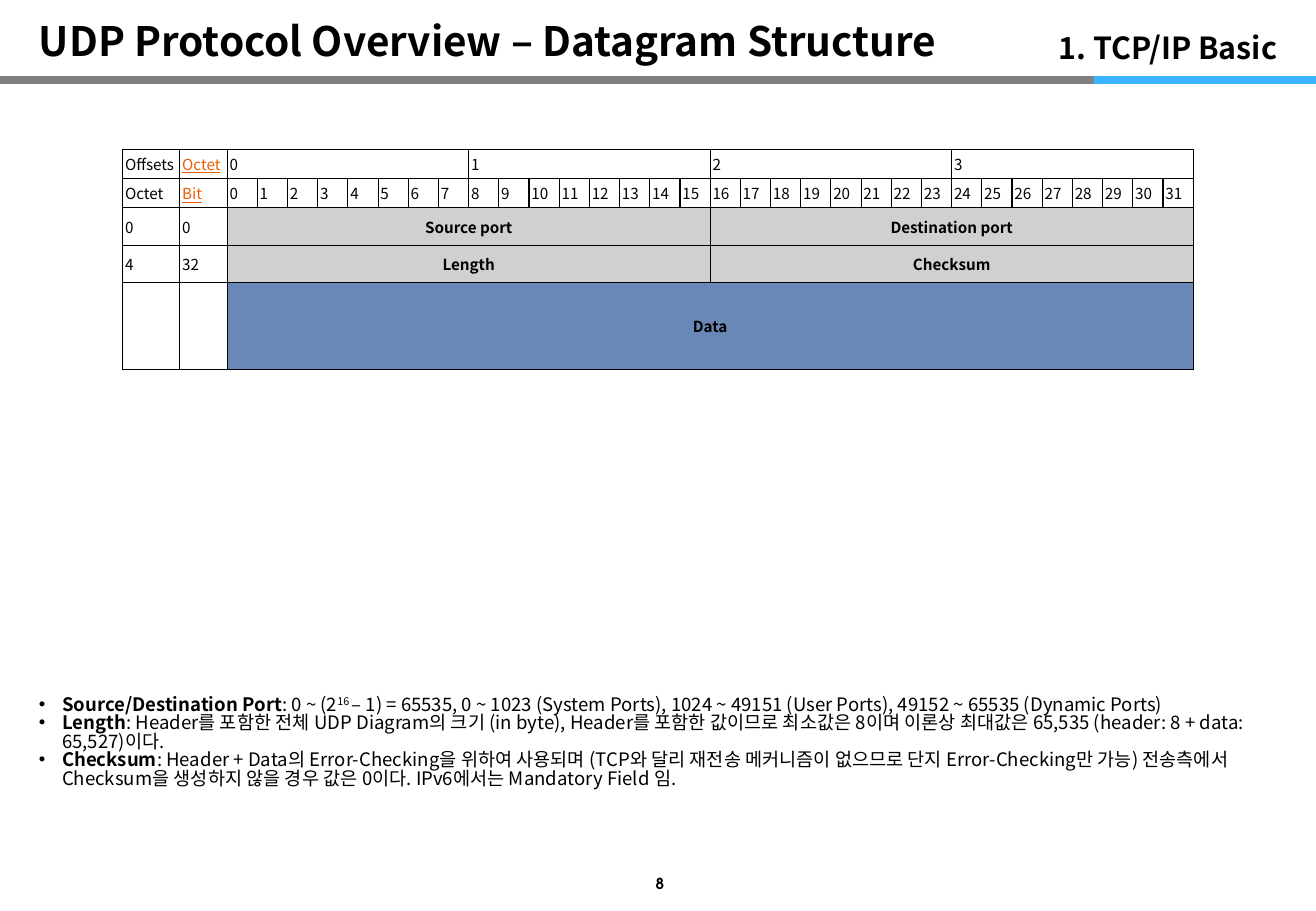
from lxml.etree import SubElement
from pptx import Presentation
from pptx.dml.color import RGBColor
from pptx.enum.shapes import MSO_CONNECTOR
from pptx.enum.text import MSO_ANCHOR, MSO_AUTO_SIZE, PP_ALIGN
from pptx.oxml.ns import qn
from pptx.util import Inches, Pt

BLACK = RGBColor(0, 0, 0)
WHITE = RGBColor(255, 255, 255)
GRAY = RGBColor(128, 128, 128)
SKY = RGBColor(0x39, 0xB5, 0xFF)
ORANGE = RGBColor(0xEB, 0x5F, 0x01)
SILVER = RGBColor(0xD0, 0xD0, 0xD0)
BLUE = RGBColor(0x69, 0x87, 0xB7)
SANS = "Noto Sans CJK KR"
ROUND = "TeX Gyre Adventor"

FRAME = {"word_wrap": True, "auto_size": MSO_AUTO_SIZE.NONE}
HEAD = {"line_spacing": 0.9, "space_before": Pt(6)}
ITEM = {"line_spacing": 0.83, "space_before": Pt(0)}
CELL = {
    "margin_left": Inches(0.02), "margin_right": Inches(0.02),
    "margin_top": Inches(0.01), "margin_bottom": Inches(0.01),
    "vertical_anchor": MSO_ANCHOR.MIDDLE,
}
PLAIN = {"first_row": False, "horz_banding": False}

NOTES = [
    ("Source/Destination Port", [
        (": 0 ~ (2", 0), ("16 ", 30000),
        ("– 1) = 65535, 0 ~ 1023 (System Ports), 1024 ~ 49151 (User Ports), "
         "49152 ~ 65535 (Dynamic Ports)", 0)]),
    ("Length", [
        (": Header를 포함한 전체 UDP Diagram의 크기 (in byte), Header를 포함한 값이므로 "
         "최소값은 8이며 이론상 최대값은 65,535 (header: 8 + data: 65,527)이다.", 0)]),
    ("Checksum", [
        (": Header + Data의 Error-Checking을 위하여 사용되며 (TCP와 달리 재전송 메커니즘이 "
         "없으므로 단지 Error-Checking만 가능) 전송측에서 Checksum을 생성하지 않을 경우 "
         "값은 0이다. IPv6에서는 Mandatory Field 임.", 0)]),
]


def apply(obj, form):
    for key, val in form.items():
        setattr(obj, key, val)


def write(para, text, size, bold=False, color=BLACK, face=SANS, line=False):
    run = para.add_run()
    run.text = text
    font = run.font
    apply(font, {"size": Pt(size), "bold": bold, "name": face, "underline": line})
    font.color.rgb = color
    SubElement(run._r.get_or_add_rPr(), qn("a:ea")).set("typeface", face)
    return run


def place(shape, box):
    apply(shape, dict(zip(("left", "top", "width", "height"), map(Inches, box))))


def label(shape, text, size, anchor, align, form, face=SANS):
    frame = shape.text_frame
    apply(frame, FRAME)
    frame.vertical_anchor = anchor
    para = frame.paragraphs[0]
    apply(para, {"alignment": align, **form})
    write(para, text, size, True, face=face)


def rule(slide, start, end, top, color):
    bar = slide.shapes.add_connector(
        MSO_CONNECTOR.STRAIGHT, *map(Inches, (start, top, end, top)))
    bar.line.color.rgb = color
    bar.line.width = Pt(5)
    SubElement(bar._element.spPr, qn("a:effectLst"))


def header(slide, box):
    left, top, width, height = box
    base = top + height + 0.07
    rule(slide, 0, 9.05, base, GRAY)
    rule(slide, 9, 10.85, base, SKY)
    title = slide.shapes.title
    place(title, (left, top, 9.29, height))
    label(title, "UDP Protocol Overview – Datagram Structure", 24,
          MSO_ANCHOR.BOTTOM, PP_ALIGN.LEFT, HEAD)
    part = slide.shapes.add_textbox(
        *map(Inches, (left + width - 2.44, top, 2.44, height)))
    label(part, "1. TCP/IP Basic", 18, MSO_ANCHOR.BOTTOM, PP_ALIGN.RIGHT, HEAD)


def edge(cell):
    props = cell._tc.get_or_add_tcPr()
    for side in ("a:lnL", "a:lnR", "a:lnT", "a:lnB"):
        line = SubElement(props, qn(side), w=str(Pt(0.75)))
        fill = SubElement(line, qn("a:solidFill"))
        SubElement(fill, qn("a:srgbClr")).set("val", str(BLACK))


def datagram(slide, box):
    left, top, width, height = map(Inches, box)
    grid = slide.shapes.add_table(5, 34, left, top, width, height).table
    apply(grid, PLAIN)
    lead = [Inches(0.47), Inches(0.39)]
    bit = (width - sum(lead)) // 32
    for col, size in zip(grid.columns, lead + [bit] * 32):
        col.width = size
    for row, size in zip(grid.rows, (0.24, 0.24, 0.31, 0.31, 0.71)):
        row.height = Inches(size)
    for cell in grid.iter_cells():
        edge(cell)
        apply(cell, CELL)
        cell.fill.solid()
        cell.fill.fore_color.rgb = WHITE

    rows = [
        (("Offsets", "Octet"), range(4), WHITE),
        (("Octet", "Bit"), range(32), WHITE),
        (("0", "0"), ("Source port", "Destination port"), SILVER),
        (("4", "32"), ("Length", "Checksum"), SILVER),
        (("", ""), ("Data",), BLUE),
    ]
    for row, (keys, names, color) in enumerate(rows):
        for col, key in enumerate(keys):
            if key:
                link = row < 2 and col == 1
                write(grid.cell(row, col).text_frame.paragraphs[0], key, 9,
                      color=ORANGE if link else BLACK, line=link)
        span = 32 // len(names)
        field = color != WHITE
        for num, name in enumerate(names):
            col = 2 + num * span
            cell = grid.cell(row, col)
            if span > 1:
                cell.merge(grid.cell(row, col + span - 1))
            cell.fill.fore_color.rgb = color
            para = cell.text_frame.paragraphs[0]
            para.alignment = PP_ALIGN.CENTER if field else PP_ALIGN.LEFT
            write(para, str(name), 9, field)


def notes(slide, box):
    body = slide.placeholders[1]
    place(body, box)
    frame = body.text_frame
    apply(frame, FRAME)
    frame.vertical_anchor = MSO_ANCHOR.MIDDLE
    for num, (term, parts) in enumerate(NOTES):
        para = frame.add_paragraph() if num else frame.paragraphs[0]
        apply(para, ITEM)
        props = para._p.get_or_add_pPr()
        props.set("marL", str(Inches(0.19)))
        props.set("indent", str(-Inches(0.19)))
        SubElement(props, qn("a:buFont")).set("typeface", "Arial")
        SubElement(props, qn("a:buChar")).set("char", "•")
        write(para, term, 11, True)
        for text, lift in parts:
            run = write(para, text, 11)
            if lift:
                run._r.get_or_add_rPr().set("baseline", str(lift))


def footer(slide, box):
    page = slide.shapes.add_textbox(*map(Inches, box))
    label(page, "8", 9, MSO_ANCHOR.MIDDLE, PP_ALIGN.CENTER, {}, ROUND)


def main():
    deck = Presentation()
    apply(deck, {"slide_width": Inches(10.83), "slide_height": Inches(7.5)})
    slide = deck.slides.add_slide(deck.slide_layouts[1])
    header(slide, (0.22, 0.07, 10.39, 0.52))
    datagram(slide, (1.01, 1.23, 8.82, 1.81))
    notes(slide, (0.22, 5.09, 10.39, 2.05))
    footer(slide, (5, 7.16, 0.86, 0.22))
    deck.save("out.pptx")


if __name__ == "__main__":
    main()
